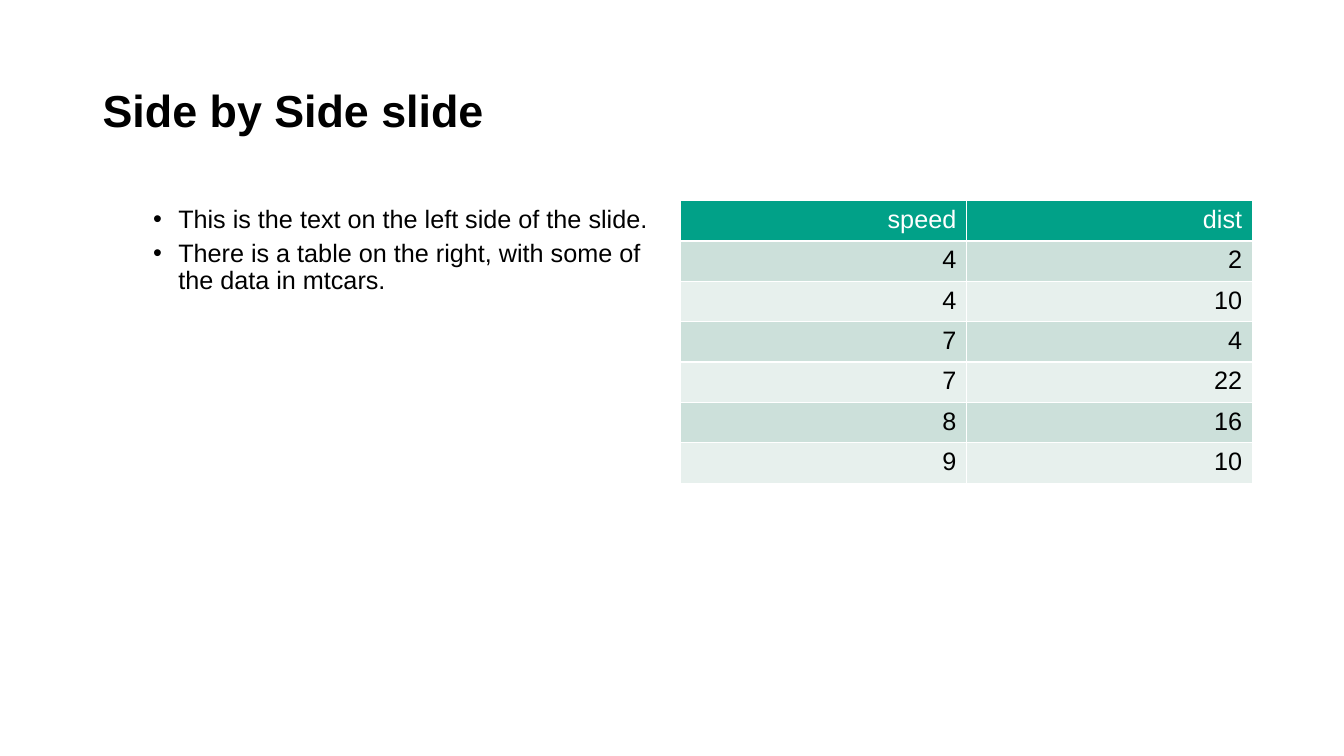
from dataclasses import dataclass

from lxml import etree
from pptx import Presentation
from pptx.dml.color import RGBColor
from pptx.enum.text import MSO_ANCHOR, PP_ALIGN
from pptx.oxml.ns import qn
from pptx.util import Inches, Pt

RIGHT = PP_ALIGN.RIGHT
TOP, MIDDLE = MSO_ANCHOR.TOP, MSO_ANCHOR.MIDDLE


@dataclass(frozen=True)
class Theme:
    """Colours, font and type sizes of the slide."""
    font: str = "Arial"
    title_size: float = 32
    body_size: float = 18
    text: str = "000000"
    light: str = "FFFFFF"
    header: str = "01A188"
    bands: tuple[str, str] = ("CCE0DA", "E7F0ED")
    border_pt: float = 1


@dataclass(frozen=True)
class Box:
    """Position and size in inches."""
    left: float
    top: float
    width: float
    height: float

    def emu(self) -> tuple:
        """Return the four lengths for a python-pptx call."""
        return tuple(Inches(v) for v in (self.left, self.top, self.width, self.height))


THEME = Theme()
ROW_HEIGHT = 0.38
BULLETS = [
    "This is the text on the left side of the slide.",
    "There is a table on the right, with some of the data in mtcars.",
]
CARS = [("speed", "dist"), (4, 2), (4, 10), (7, 4), (7, 22), (8, 16), (9, 10)]
TITLE_BOX = Box(0.92, 0.4, 11.5, 1.45)
BULLET_BOX = Box(0.92, 2, 5.67, 4.76)
TABLE_BOX = Box(6.75, 1.99, 5.67, ROW_HEIGHT * len(CARS))


def write(p, text: str, *, size: float = THEME.body_size, color: str = THEME.text,
          bold: bool = False, align=None, line=None, before=None) -> None:
    """Write one formatted run into a paragraph."""
    p.alignment, p.line_spacing = align, line
    p.space_before = None if before is None else Pt(before)
    r = p.add_run()
    r.text = text
    r.font.name, r.font.size, r.font.bold = THEME.font, Pt(size), bold
    r.font.color.rgb = RGBColor.from_string(color)


def add_text(s, box: Box, anchor):
    """Add a wrapping text box and return its text frame."""
    tf = s.shapes.add_textbox(*box.emu()).text_frame
    tf.word_wrap, tf.vertical_anchor = True, anchor
    return tf


def set_bullet(p, margin: float, indent: float) -> None:
    """Give a paragraph a hanging round bullet."""
    pPr = p._p.get_or_add_pPr()
    pPr.set("marL", str(Inches(margin)))
    pPr.set("indent", str(Inches(indent)))
    etree.SubElement(pPr, qn("a:buFont")).set("typeface", THEME.font)
    etree.SubElement(pPr, qn("a:buChar")).set("char", "•")


def set_borders(cell) -> None:
    """Draw the light border on all four sides of a cell."""
    tcPr = cell._tc.get_or_add_tcPr()
    for side in ("lnL", "lnR", "lnT", "lnB"):
        ln = etree.SubElement(tcPr, qn(f"a:{side}"), w=str(Pt(THEME.border_pt)))
        fill = etree.SubElement(ln, qn("a:solidFill"))
        etree.SubElement(fill, qn("a:srgbClr")).set("val", THEME.light)


def add_title(s, text: str) -> None:
    """Add the slide title."""
    tf = add_text(s, TITLE_BOX, MIDDLE)
    write(tf.paragraphs[0], text, size=THEME.title_size, bold=True, line=0.9)


def add_bullets(s, items: list[str]) -> None:
    """Add the bullet list on the left."""
    tf = add_text(s, BULLET_BOX, TOP)
    for i, item in enumerate(items):
        p = tf.add_paragraph() if i else tf.paragraphs[0]
        write(p, item, line=0.9, before=5)
        set_bullet(p, 0.75, -0.25)


def add_data_table(s, rows: list[tuple]) -> None:
    """Add the banded table on the right, its first row as header."""
    table = s.shapes.add_table(len(rows), len(rows[0]), *TABLE_BOX.emu()).table
    for i, values in enumerate(rows):
        table.rows[i].height = Inches(ROW_HEIGHT)
        fill = THEME.bands[(i - 1) % 2] if i else THEME.header
        color = THEME.text if i else THEME.light
        for j, value in enumerate(values):
            cell = table.cell(i, j)
            set_borders(cell)
            cell.fill.solid()
            cell.fill.fore_color.rgb = RGBColor.from_string(fill)
            write(cell.text_frame.paragraphs[0], str(value), color=color, align=RIGHT)


def main() -> None:
    """Build and save the slide."""
    prs = Presentation()
    prs.slide_width, prs.slide_height = Inches(13.33), Inches(7.5)
    s = prs.slides.add_slide(prs.slide_layouts[6])
    add_title(s, "Side by Side slide")
    add_bullets(s, BULLETS)
    add_data_table(s, CARS)
    prs.save("out.pptx")


main()
